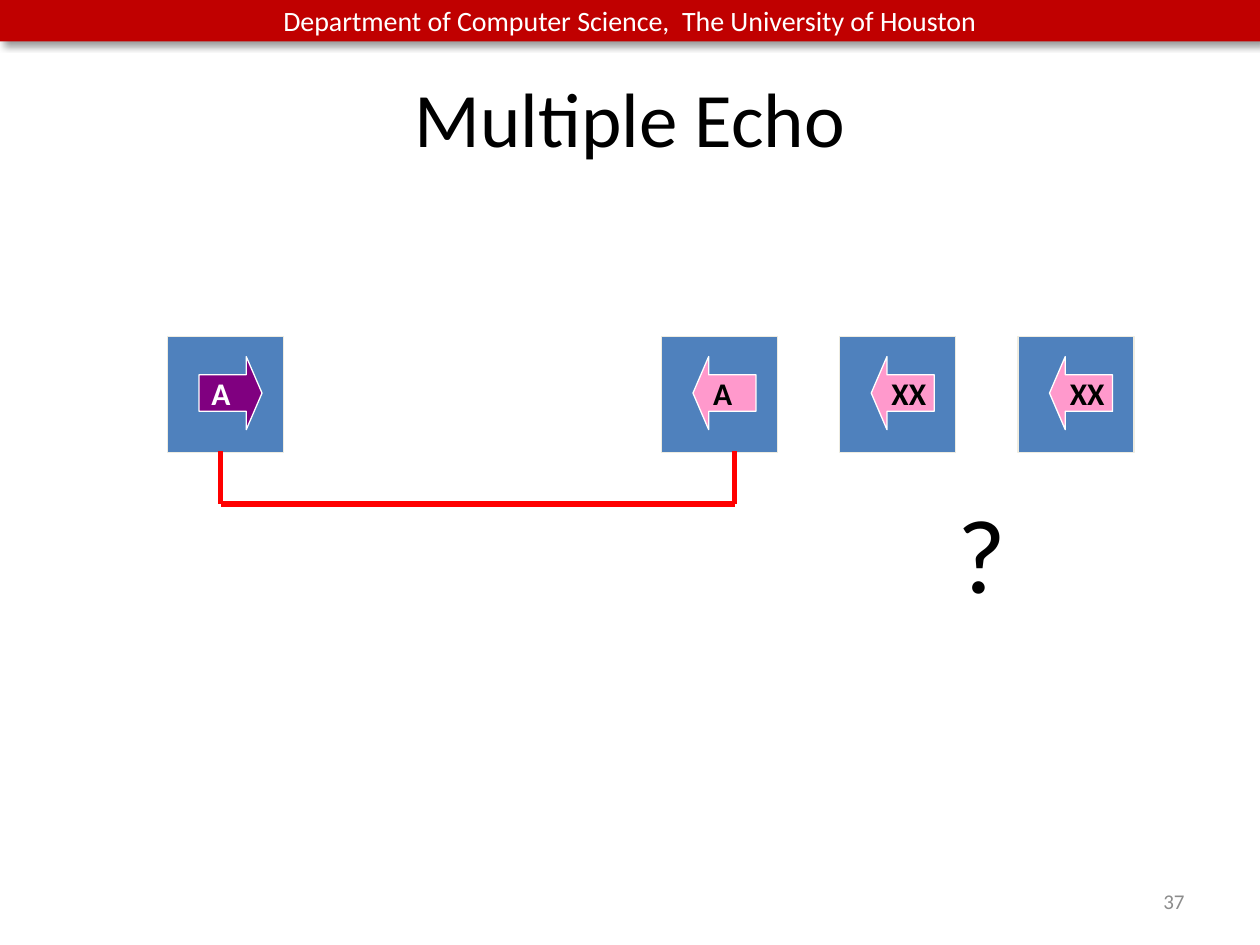
from lxml import etree
from pptx import Presentation
from pptx.dml.color import RGBColor
from pptx.enum.shapes import MSO_CONNECTOR, MSO_SHAPE
from pptx.enum.text import MSO_ANCHOR, PP_ALIGN
from pptx.oxml.ns import qn
from pptx.util import Inches, Pt

RECTANGLE = MSO_SHAPE.RECTANGLE
RIGHT_ARROW, LEFT_ARROW = MSO_SHAPE.RIGHT_ARROW, MSO_SHAPE.LEFT_ARROW
STRAIGHT = MSO_CONNECTOR.STRAIGHT
TOP, MIDDLE = MSO_ANCHOR.TOP, MSO_ANCHOR.MIDDLE
LEFT, CENTER, RIGHT = PP_ALIGN.LEFT, PP_ALIGN.CENTER, PP_ALIGN.RIGHT
TITLE_ONLY = 5


def color(value):
    return RGBColor.from_string(value)


def write(frame, text, size=18, ink="000000", bold=False, align=LEFT,
          anchor=MIDDLE, wrap=True):
    frame.word_wrap = wrap
    frame.vertical_anchor = anchor
    paragraph = frame.paragraphs[0]
    paragraph.alignment = align
    run = paragraph.add_run()
    run.text = text
    run.font.name = "Calibri"
    run.font.size = Pt(size)
    run.font.bold = bold
    run.font.color.rgb = color(ink)


def add_soft_shadow(shape):
    effects = shape._element.spPr.find(qn("a:effectLst"))
    shadow = etree.SubElement(effects, qn("a:outerShdw"), blurRad=str(Pt(4)),
                              dist=str(Pt(3)), dir="2700000", algn="tl")
    black = etree.SubElement(shadow, qn("a:srgbClr"), val="000000")
    etree.SubElement(black, qn("a:alpha"), val="40000")


class EchoSlide:
    node_top, node_size = 2.67, 0.92
    node_fill, node_edge = "4F81BD", "EEECE1"
    link_color = "FF0000"

    def __init__(self, slide):
        self.slide = slide

    def shape(self, kind, left, top, width, height, fill, edge=None):
        shape = self.slide.shapes.add_shape(
            kind, Inches(left), Inches(top), Inches(width), Inches(height))
        shape.shadow.inherit = False
        shape.fill.solid()
        shape.fill.fore_color.rgb = color(fill)
        if edge:
            shape.line.color.rgb = color(edge)
            shape.line.width = Pt(0.75)
        else:
            shape.line.fill.background()
        return shape

    def header(self, text):
        bar = self.shape(RECTANGLE, 0, 0, 10, 0.33, "C00000")
        add_soft_shadow(bar)
        write(bar.text_frame, text, size=16, ink="FFFFFF", align=CENTER)

    def title(self, text):
        title = self.slide.shapes.title
        title.left, title.top = Inches(0.5), Inches(0.3)
        title.width, title.height = Inches(9), Inches(1.25)
        write(title.text_frame, text, size=44, align=CENTER)

    def node(self, left, message, direction, fill, ink):
        """A process square holding an arrow with its message."""
        self.shape(RECTANGLE, left, self.node_top, self.node_size,
                   self.node_size, self.node_fill, self.node_edge)
        arrow = self.shape(direction, left + 0.25, self.node_top + 0.16,
                           0.5, 0.58, fill, "FFFFFF")
        arrow.adjustments[0], arrow.adjustments[1] = 0.5, 0.25
        write(arrow.text_frame, message, ink=ink, bold=True, wrap=False)

    def line(self, x1, y1, x2, y2):
        line = self.slide.shapes.add_connector(
            STRAIGHT, Inches(x1), Inches(y1), Inches(x2), Inches(y2))
        line.line.color.rgb = color(self.link_color)
        line.line.width = Pt(3)
        etree.SubElement(line._element.spPr, qn("a:effectLst"))

    def text(self, text, left, top, width, height, **style):
        box = self.slide.shapes.add_textbox(
            Inches(left), Inches(top), Inches(width), Inches(height))
        write(box.text_frame, text, **style)


def main():
    deck = Presentation()
    deck.slide_width, deck.slide_height = Inches(10), Inches(7.5)
    echo = EchoSlide(deck.slides.add_slide(deck.slide_layouts[TITLE_ONLY]))

    echo.header("Department of Computer Science,  The University of Houston")
    echo.title("Multiple Echo")

    echo.node(1.33, "A", RIGHT_ARROW, "800080", "FFFFFF")
    for index, reply in enumerate(["A", "XX", "XX"]):
        echo.node(5.25 + index * 1.415, reply, LEFT_ARROW, "FF99CC", "000000")

    sender, receiver, node_bottom, link_bottom = 1.75, 5.83, 3.58, 4
    echo.line(sender, link_bottom, receiver, link_bottom)
    for end in (sender, receiver):
        echo.line(end, node_bottom, end, link_bottom)

    echo.text("?", 7.33, 3.83, 0.92, 1.1, size=60, align=CENTER, anchor=TOP)
    echo.text("37", 7.17, 6.95, 2.33, 0.4, size=12, ink="8C8C8C", align=RIGHT)
    deck.save("out.pptx")


if __name__ == "__main__":
    main()
